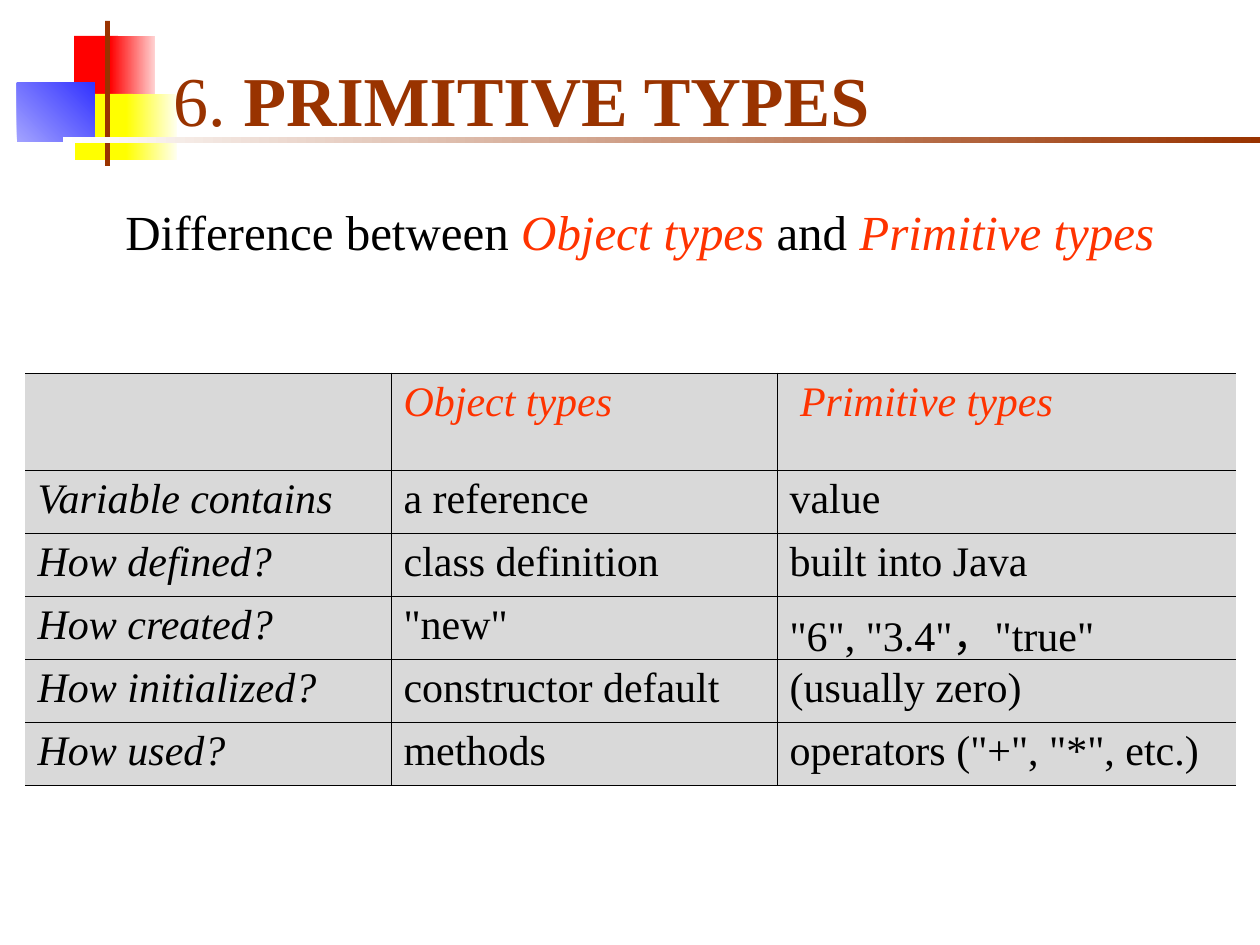
from lxml.etree import SubElement
from pptx import Presentation
from pptx.dml.color import RGBColor
from pptx.enum.shapes import MSO_SHAPE as Shape
from pptx.enum.text import MSO_ANCHOR as Anchor
from pptx.oxml.ns import qn
from pptx.util import Emu, Pt

SCALE = 914400 / 126
COLORS = {
    "red": "FF0000", "pale red": "FFD1D1", "yellow": "FFFF00", "pale yellow": "FFFFEF",
    "blue": "3333FF", "pale blue": "A3A3FF", "brown": "993300", "white": "FFFFFF",
    "accent": "FF3300", "black": "000000", "grey": "D9D9D9",
}
SERIF, MONO = "Times New Roman", "Courier New"

# left, top, width, height, fill colours, gradient angle
ORNAMENTS = [
    (74, 36, 44, 65, ["red"], 0),
    (110, 36, 45, 65, ["red", "pale red"], 0),
    (75, 94, 58, 66, ["yellow"], 0),
    (126, 94, 51, 66, ["yellow", "pale yellow"], 0),
    (17, 83, 78, 59, ["pale blue", "blue"], 45),
    (105, 21, 5, 145, ["brown"], 0),
    (63, 137, 1197, 6, ["white", "brown"], 0),
]

STYLES = {
    "plain": {"color": "black"},
    "label": {"color": "black", "italic": True},
    "term": {"color": "accent", "italic": True},
    "comma": {"color": "black", "name": MONO},
    "number": {"color": "brown"},
    "heading": {"color": "brown", "bold": True},
}
TITLE = [("6. ", "number"), ("PRIMITIVE TYPES", "heading")]
SUBTITLE = [("Difference between ", "plain"), ("Object types", "term"),
            (" and ", "plain"), ("Primitive types", "term")]

TABLE_LEFT, TABLE_TOP = 25, 373
COLUMN_WIDTHS = [366, 386, 459]
HEADER_HEIGHT, ROW_HEIGHT = 97, 63
HEADER = [[], [("Object types", "term")], [(" ", "plain"), ("Primitive types", "term")]]
ROWS = [
    ("Variable contains", "a reference", "value"),
    ("How defined?", "class definition", "built into Java"),
    ("How created?", '"new"', [('"6", "3.4"', "plain"), ("，", "comma"), ('"true"', "plain")]),
    ("How initialized?", "constructor default", "(usually zero)"),
    ("How used?", "methods", 'operators ("+", "*", etc.)'),
]


def px(*lengths):
    return [Emu(round(length * SCALE)) for length in lengths]


def rgb(name):
    return RGBColor.from_string(COLORS[name])


def add_runs(para, runs, size):
    for text, style in runs:
        span = para.add_run()
        span.text = text
        values = {"name": SERIF, "size": Pt(size), "bold": False, "italic": False, **STYLES[style]}
        span.font.color.rgb = rgb(values.pop("color"))
        for name, value in values.items():
            setattr(span.font, name, value)


def add_text(page, place, runs, size, anchor=Anchor.TOP):
    frame = page.shapes.add_textbox(*px(*place)).text_frame
    frame.word_wrap = True
    frame.vertical_anchor = anchor
    para = frame.paragraphs[0]
    add_runs(para, runs, size)
    return para


def add_ornament(page, left, top, width, height, fills, angle):
    box = page.shapes.add_shape(Shape.RECTANGLE, *px(left, top, width, height))
    box.shadow.inherit = False
    box.line.fill.background()
    if len(fills) == 1:
        box.fill.solid()
        box.fill.fore_color.rgb = rgb(fills[0])
    else:
        box.fill.gradient()
        box.fill.gradient_angle = angle
        for stop, name in zip(box.fill.gradient_stops, fills):
            stop.color.rgb = rgb(name)


def set_borders(cell, visible):
    """Rule the sides named in visible and clear the others."""
    properties = cell._tc.get_or_add_tcPr()
    for side in "LRTB":
        line = SubElement(properties, qn(f"a:ln{side}"), w=str(Pt(0.45)))
        if side in visible:
            fill = SubElement(line, qn("a:solidFill"))
            SubElement(fill, qn("a:srgbClr"), val=COLORS["black"])
        else:
            SubElement(line, qn("a:noFill"))


def add_comparison(page):
    rows = [HEADER]
    for label, *values in ROWS:
        rows.append([[(label, "label")]] + [
            [(value, "plain")] if isinstance(value, str) else value for value in values])
    heights = [HEADER_HEIGHT] + [ROW_HEIGHT] * len(ROWS)
    table = page.shapes.add_table(
        len(rows), len(COLUMN_WIDTHS),
        *px(TABLE_LEFT, TABLE_TOP, sum(COLUMN_WIDTHS), sum(heights))).table
    table.first_row = table.horz_banding = False
    for column, width in zip(table.columns, px(*COLUMN_WIDTHS)):
        column.width = width
    for row, height, contents in zip(table.rows, px(*heights), rows):
        row.height = height
        for cell, runs, sides in zip(row.cells, contents, ("RTB", "LRTB", "LTB")):
            set_borders(cell, sides)
            cell.fill.solid()
            cell.fill.fore_color.rgb = rgb("grey")
            add_runs(cell.text_frame.paragraphs[0], runs, 24)


def main():
    deck = Presentation()
    deck.slide_width, deck.slide_height = px(1260, 945)
    page = deck.slides.add_slide(deck.slide_layouts[6])
    for ornament in ORNAMENTS:
        add_ornament(page, *ornament)
    title = add_text(page, (161, 31, 1080, 116), TITLE, 40, Anchor.BOTTOM)
    title.line_spacing = Pt(48)
    add_text(page, (113, 195, 1062, 72), SUBTITLE, 28)
    add_comparison(page)
    deck.save("out.pptx")


if __name__ == "__main__":
    main()
